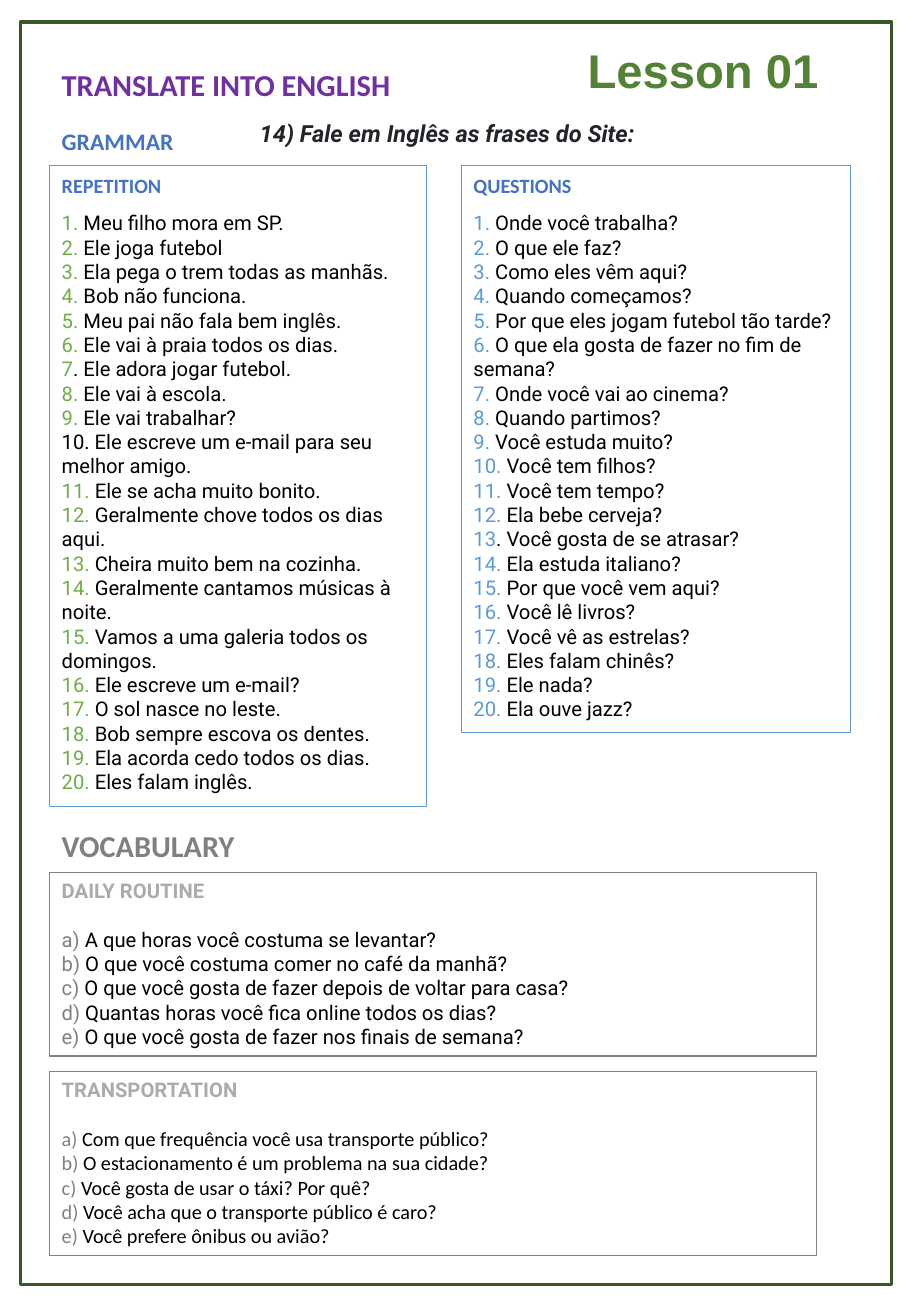
import pptx
import pptx.util
import pptx.dml.color
import pptx.enum.shapes
import pptx.enum.text

PX = 9144  # 100 px to the inch

BLUE, SKY, GREEN = "4472C4", "5B9BD5", "70AD47"
GREY, PALE, BLACK = "808080", "AEAAAA", "000000"

REPEAT = [
    "Meu filho mora em SP.",
    "Ele joga futebol",
    "Ela pega o trem todas as manhãs.",
    "Bob não funciona.",
    "Meu pai não fala bem inglês.",
    "Ele vai à praia todos os dias.",
    "Ele adora jogar futebol.",
    "Ele vai à escola.",
    "Ele vai trabalhar?",
    "Ele escreve um e-mail para seu melhor amigo.",
    "Ele se acha muito bonito.",
    "Geralmente chove todos os dias aqui.",
    "Cheira muito bem na cozinha.",
    "Geralmente cantamos músicas à noite.",
    "Vamos a uma galeria todos os domingos.",
    "Ele escreve um e-mail?",
    "O sol nasce no leste.",
    "Bob sempre escova os dentes.",
    "Ela acorda cedo todos os dias.",
    "Eles falam inglês.",
]
ASK = [
    "Onde você trabalha?",
    "O que ele faz?",
    "Como eles vêm aqui?",
    "Quando começamos?",
    "Por que eles jogam futebol tão tarde?",
    "O que ela gosta de fazer no fim de semana?",
    "Onde você vai ao cinema?",
    "Quando partimos?",
    "Você estuda muito?",
    "Você tem filhos?",
    "Você tem tempo?",
    "Ela bebe cerveja?",
    "Você gosta de se atrasar?",
    "Ela estuda italiano?",
    "Por que você vem aqui?",
    "Você lê livros?",
    "Você vê as estrelas?",
    "Eles falam chinês?",
    "Ele nada?",
    "Ela ouve jazz?",
]
ROUTINE = [
    "A que horas você costuma se levantar?",
    "O que você costuma comer no café da manhã?",
    "O que você gosta de fazer depois de voltar para casa?",
    "Quantas horas você fica online todos os dias?",
    "O que você gosta de fazer nos finais de semana?",
]
TRAVEL = [
    "Com que frequência você usa transporte público?",
    "O estacionamento é um problema na sua cidade?",
    "Você gosta de usar o táxi? Por quê?",
    "Você acha que o transporte público é caro?",
    "Você prefere ônibus ou avião?",
]


def paint(hue):
    return pptx.dml.color.RGBColor.from_string(hue)


def place(*box):
    return [n * PX for n in box]


def write(para, text, size=12, font="Roboto", hue=BLACK, bold=False, slant=False):
    run = para.add_run()
    run.text = text
    face = run.font
    face.size = pptx.util.Pt(size)
    face.name = font
    face.bold = bold
    face.italic = slant
    face.color.rgb = paint(hue)


def space(para, after, lead=None):
    para.space_after = pptx.util.Pt(after)
    if lead:
        para.line_spacing = lead


def fit(shape, wrap=True):
    frame = shape.text_frame
    frame.word_wrap = wrap
    frame.auto_size = pptx.enum.text.MSO_AUTO_SIZE.SHAPE_TO_FIT_TEXT
    frame.vertical_anchor = pptx.enum.text.MSO_ANCHOR.TOP
    return frame


def label(slide, box, text, wrap=True, after=0, lead=None, **style):
    frame = fit(slide.shapes.add_textbox(*place(*box)), wrap)
    para = frame.paragraphs[0]
    space(para, after, lead)
    write(para, text, bold=True, **style)


def outline(slide, box, hue, width):
    kind = pptx.enum.shapes.MSO_SHAPE.RECTANGLE
    shape = slide.shapes.add_shape(kind, *place(*box))
    shape.shadow.inherit = False
    shape.fill.background()
    shape.line.color.rgb = paint(hue)
    shape.line.width = pptx.util.Pt(width)
    return shape


def panel(slide, box, edge, title, rows, head, after, lead=None, font="Roboto"):
    """Draw an outlined list; each row is a list of (text, colour) parts."""
    frame = fit(outline(slide, box, edge, 0.75))
    para = frame.paragraphs[0]
    space(para, after, lead)
    write(para, title, bold=True, **head)
    for row in rows:
        para = frame.add_paragraph()
        for text, hue in row:
            write(para, text, font=font, hue=hue)
    for para in frame.paragraphs:
        para.alignment = pptx.enum.text.PP_ALIGN.LEFT


def count(lines, hue, split, plain=None):
    """Number the lines; split has a black dot, plain is all black."""
    rows = []
    for num, line in enumerate(lines, 1):
        if num == plain:
            rows.append([(f"{num}. {line}", BLACK)])
        elif num == split:
            rows.append([(f"{num}", hue), (f". {line}", BLACK)])
        else:
            rows.append([(f"{num}. ", hue), (line, BLACK)])
    return rows


def letter(lines):
    return [[(f"{key}) ", GREY), (line, BLACK)] for key, line in zip("abcde", lines)]


def main():
    deck = pptx.Presentation()
    deck.slide_width, deck.slide_height = place(750, 1083)
    slide = deck.slides.add_slide(deck.slide_layouts[6])

    loose = dict(after=8, lead=1.07)
    large = dict(size=18, font="Calibri", **loose)
    label(slide, (41, 47, 310, 41), "TRANSLATE INTO ENGLISH", hue="7030A0", **large)
    label(slide, (41, 98, 630, 34), "GRAMMAR", size=14, font="Calibri", hue=BLUE, **loose)
    label(slide, (474, 29, 213, 57), "Lesson 01", wrap=False, size=28, font="Arial", hue="548235")
    outline(slide, (17, 18, 717, 1039), "385723", 2)

    head = dict(font="Calibri", hue=BLUE)
    left = count(REPEAT, GREEN, split=7, plain=10)
    right = count(ASK, SKY, split=13)
    panel(slide, (41, 136, 310, 528), SKY, "REPETITION", left, head, **loose)
    panel(slide, (380, 136, 320, 467), SKY, "QUESTIONS", right, head, **loose)

    label(slide, (41, 674, 163, 41), "VOCABULARY", hue=GREY, **large)
    topics = [("DAILY ROUTINE", ROUTINE, "Roboto"), ("TRANSPORTATION", TRAVEL, "Calibri")]
    for step, (title, lines, font) in enumerate(topics):
        box = (41, 718 + 164 * step, 631, 151)
        panel(slide, box, GREY, title, letter(lines), dict(hue=PALE), after=14.4, font=font)

    label(slide, (204, 93, 630, 34), "14) Fale em Inglês as frases do Site:",
          size=14, hue="212529", slant=True)
    deck.save("out.pptx")


if __name__ == "__main__":
    main()
